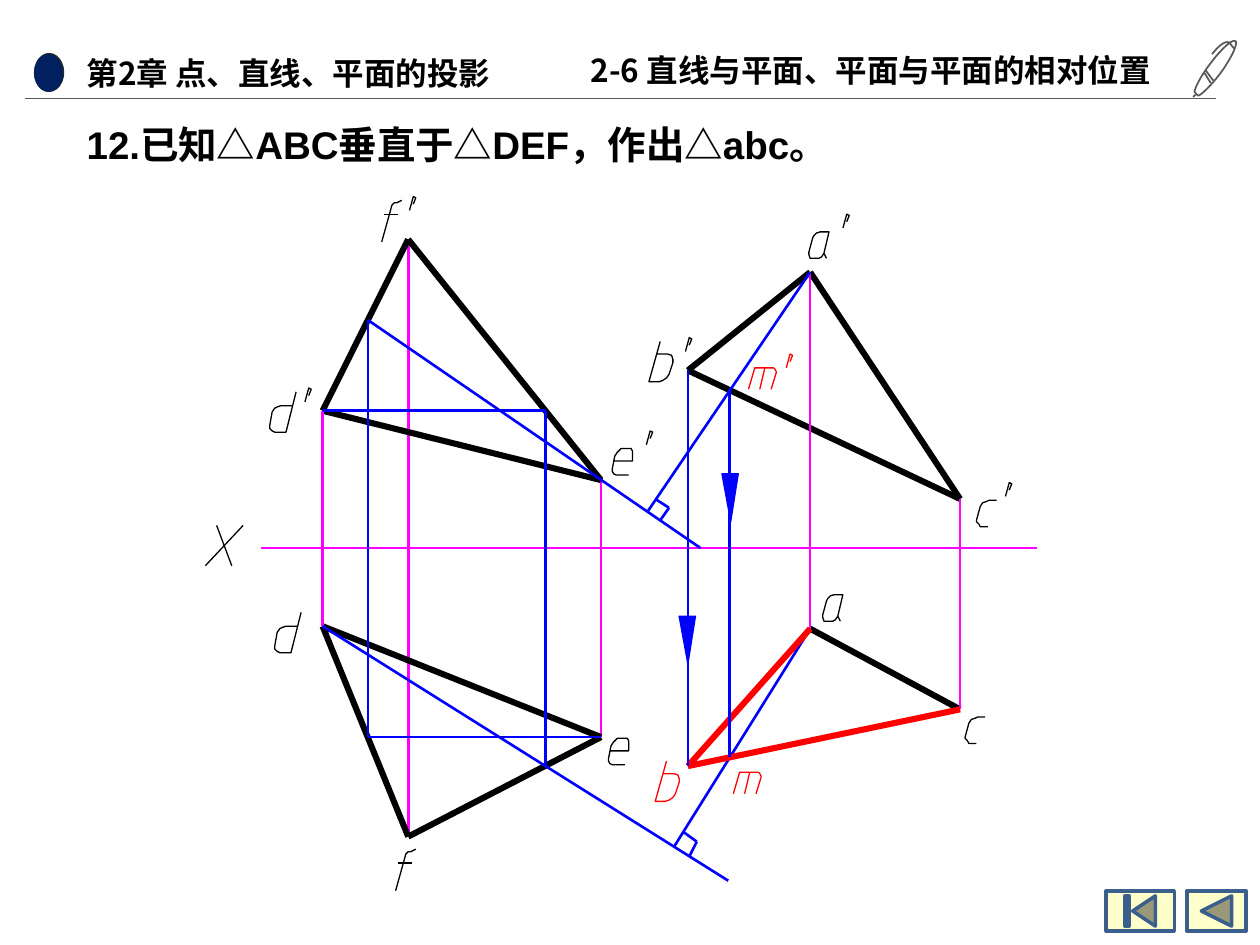
from lxml.etree import SubElement
from pptx import Presentation
from pptx.dml.color import RGBColor
from pptx.enum.shapes import MSO_CONNECTOR, MSO_SHAPE
from pptx.oxml.ns import qn
from pptx.util import Inches, Pt

WIDTH, HEIGHT = 10, 7.5
CJK = "Noto Sans CJK SC"
COLORS = {
    "black": "000000", "gray": "595959", "dark": "262626", "navy": "002060",
    "magenta": "FF00FF", "blue": "0000FF", "red": "FF0000",
    "cream": "FFFFCC", "steel": "3A5F8C",
}
THIN, THICK = 1.5, 3.5

POINTS = {
    "f'": (3.24, 1.9), "d'": (2.56, 3.26), "e'": (4.77, 3.81),
    "f": (3.24, 6.64), "d": (2.56, 4.97), "e": (4.77, 5.85),
    "a'": (6.43, 2.16), "b'": (5.46, 2.94), "c'": (7.62, 3.96),
    "a": (6.43, 4.99), "b": (5.46, 6.08), "c": (7.62, 5.63),
    "m'": (5.79, 3.09), "m": (5.79, 6.01),
    "left": (2.07, 4.35), "right": (8.23, 4.35),
    "level'": (4.33, 3.26), "level": (4.33, 6.08),
    "front'": (2.92, 2.54), "front": (2.92, 5.85),
    "normal'": (5.14, 4.06), "normal": (5.35, 6.72),
    "trace'": (5.56, 4.35), "trace": (5.78, 6.99),
}
EDGES = [
    ("magenta", THIN, ["e' e", "f' f"]),
    ("black", THICK, ["e f", "f' e'", "a c", "c' b'", "a' c'", "b' a'"]),
    ("magenta", THIN, ["c c'", "left right", "a a'"]),
    ("black", THICK, ["f' d'", "d' e'", "f d", "d e"]),
    ("magenta", THIN, ["d' d"]),
    ("blue", THIN, ["e front", "d' level'", "level' level", "trace d",
                    "front front'", "front' trace'", "a' normal'", "a normal"]),
    ("red", THICK, ["b a", "c b"]),
    ("blue", THIN, ["b b'", "m' m"]),
]
RIGHT_ANGLES = [
    [(5.2, 3.96), (5.31, 4.03), (5.24, 4.13)],
    [(5.42, 6.6), (5.53, 6.68), (5.47, 6.8)],
]
ARROWS = [(5.73, 3.76), (5.39, 4.89)]

GLYPHS = {
    "a": [[(14, 21), (12, 17), (16, 0), (9, 0), (6, 1), (4, 3), (3, 5), (0, 16),
           (0, 18), (1, 21), (3, 21), (6, 21), (8, 21), (10, 20), (12, 17)]],
    "b": [[(9, 0), (0, 32), (8, 32), (11, 31), (14, 29), (16, 26), (19, 17),
           (19, 14), (18, 11), (15, 10), (6, 10)]],
    "c": [[(16, 0), (10, 0), (8, 1), (5, 2), (3, 5), (0, 16), (0, 17), (2, 19),
           (3, 21), (9, 21)]],
    "d": [[(21, 0), (13, 32), (4, 32), (2, 31), (1, 30), (0, 29), (0, 27),
           (2, 16), (4, 13), (6, 12), (9, 11), (18, 11)]],
    "e": [[(13, 21), (3, 21), (1, 20), (0, 18), (0, 16), (2, 6), (4, 3), (7, 0),
           (9, 0), (12, 0), (15, 0), (16, 2), (16, 5), (16, 10), (1, 10)]],
    "f": [[(0, 33), (7, 8), (8, 4), (10, 2), (12, 2), (16, 0)],
          [(13, 11), (2, 11)]],
    "m": [[(18, 17), (22, 4), (22, 3), (21, 1), (20, 0), (5, 0), (0, 17)],
          [(9, 17), (13, 0)]],
    "X": [[(9, 0), (21, 32)], [(30, 0), (0, 32)]],
    "'": [[(0, 11), (3, 0), (5, 1), (3, 6)]],
}
LABELS = [
    ("black", "X", 1.63, 4.17), ("black", "a", 6.53, 4.72),
    ("black", "c", 7.66, 5.69), ("black", "d", 2.18, 4.86),
    ("black", "e", 4.83, 5.86), ("black", "f", 3.14, 6.74),
    ("black", "a", 6.42, 1.84), ("black", "'", 6.69, 1.7),
    ("black", "b", 5.15, 2.71), ("black", "'", 5.44, 2.68),
    ("black", "c", 7.75, 3.97), ("black", "'", 7.98, 3.83),
    ("black", "d", 2.14, 3.11), ("black", "'", 2.42, 3.08),
    ("black", "e", 4.86, 3.56), ("black", "'", 5.13, 3.42),
    ("black", "f", 3.03, 1.59), ("black", "'", 3.25, 1.56),
    ("red", "b", 5.2, 6.04), ("red", "m", 5.82, 6.13),
    ("red", "m", 5.94, 2.92), ("red", "'", 6.24, 2.81),
]
PEN_STROKES = [[(9.61, 0.66), (9.56, 0.58)], [(9.57, 0.56), (9.63, 0.64)],
               [(9.49, 0.75), (9.47, 0.77)]]
PEN_CURVES = [
    [(9.81, 0.33), (9.79, 0.3), (9.7, 0.38), (9.61, 0.5), (9.54, 0.59),
     (9.49, 0.68), (9.48, 0.73), (9.51, 0.76), (9.51, 0.76), (9.51, 0.76),
     (9.54, 0.75), (9.61, 0.68), (9.68, 0.59), (9.77, 0.47), (9.82, 0.36),
     (9.81, 0.33)],
    [(9.8, 0.39), (9.8, 0.39), (9.78, 0.37), (9.76, 0.34), (9.76, 0.34),
     (9.72, 0.3), (9.62, 0.43)],
]


def color(name):
    return RGBColor.from_string(COLORS[name])


def style(shape, fill=None, line=None, weight=0):
    shape.shadow.inherit = False
    if fill:
        shape.fill.solid()
        shape.fill.fore_color.rgb = color(fill)
    else:
        shape.fill.background()
    if line:
        shape.line.color.rgb = color(line)
        shape.line.width = Pt(weight)
    else:
        shape.line.fill.background()


def add_text(slide, text, left, top, width, height, size=18, font=CJK):
    box = slide.shapes.add_textbox(*map(Inches, (left, top, width, height)))
    frame = box.text_frame
    frame.word_wrap = True
    run = frame.paragraphs[0].add_run()
    run.text = text
    run.font.size, run.font.bold, run.font.name = Pt(size), True, font
    run.font.color.rgb = color("black")
    SubElement(run.font._element, qn("a:ea")).set("typeface", font)


def add_preset(slide, kind, left, top, width, height, **look):
    shape = slide.shapes.add_shape(kind, *map(Inches, (left, top, width, height)))
    style(shape, **look)


def add_line(slide, start, end, line, weight):
    connector = slide.shapes.add_connector(
        MSO_CONNECTOR.STRAIGHT, *map(Inches, (*start, *end)))
    connector.line.color.rgb = color(line)
    connector.line.width = Pt(weight)
    SubElement(connector._element.spPr, qn("a:effectLst"))


def add_outline(slide, strokes, close=False, **look):
    strokes = [[(Inches(x), Inches(y)) for x, y in stroke] for stroke in strokes]
    builder = slide.shapes.build_freeform(*strokes[0][0])
    for index, stroke in enumerate(strokes):
        if index:
            builder.move_to(*stroke[0])
        builder.add_line_segments(stroke[1:], close=close)
    style(builder.convert_to_shape(), **look)


def flatten(curve, steps=8):
    points = [curve[0]]
    for index in range(0, len(curve) - 1, 3):
        controls = curve[index:index + 4]
        for step in range(1, steps + 1):
            t = step / steps
            weights = ((1 - t) ** 3, 3 * t * (1 - t) ** 2, 3 * t * t * (1 - t), t ** 3)
            points.append(tuple(sum(w * p[axis] for w, p in zip(weights, controls))
                                for axis in (0, 1)))
    return points


def add_glyph(slide, ink, letter, left, top):
    strokes = [[(left + x / 100, top + y / 100) for x, y in stroke]
               for stroke in GLYPHS[letter]]
    add_outline(slide, strokes, line=ink)


def add_header(slide):
    add_preset(slide, MSO_SHAPE.OVAL, 0.27, 0.42, 0.24, 0.31, fill="dark")
    add_preset(slide, MSO_SHAPE.OVAL, 0.27, 0.43, 0.23, 0.3, fill="navy")
    add_text(slide, "第2章 点、直线、平面的投影", 0.59, 0.38, 4.07, 0.38)
    add_text(slide, "2-6 直线与平面、平面与平面的相对位置", 4.59, 0.36, 4.75, 0.4)
    add_line(slide, (0.2, 0.78), (9.65, 0.78), "gray", 0.75)
    add_outline(slide, PEN_STROKES + [flatten(curve) for curve in PEN_CURVES],
                line="gray", weight=1)


def add_drawing(slide):
    for ink, weight, edges in EDGES:
        for edge in edges:
            start, end = edge.split()
            add_line(slide, POINTS[start], POINTS[end], ink, weight)
    for start, corner, end in RIGHT_ANGLES:
        add_line(slide, start, corner, "blue", THIN)
        add_line(slide, corner, end, "blue", THIN)
    for left, top in ARROWS:
        head = [(left, top), (left + 0.13, top), (left + 0.07, top + 0.38)]
        add_outline(slide, [head], close=True, fill="blue", line="blue")
    for label in LABELS:
        add_glyph(slide, *label)


def main():
    presentation = Presentation()
    presentation.slide_width, presentation.slide_height = Inches(WIDTH), Inches(HEIGHT)
    slide = presentation.slides.add_slide(presentation.slide_layouts[6])
    add_header(slide)
    add_text(slide, "12.已知△ABC垂直于△DEF，作出△abc。", 0.59, 0.91, 6.4, 0.47,
             size=22, font="Arial")
    add_drawing(slide)
    buttons = [(MSO_SHAPE.ACTION_BUTTON_BEGINNING, 8.78, 0.54),
               (MSO_SHAPE.ACTION_BUTTON_BACK_OR_PREVIOUS, 9.42, 0.47)]
    for kind, left, width in buttons:
        add_preset(slide, kind, left, 7.07, width, 0.32,
                   fill="cream", line="steel", weight=2)
    presentation.save("out.pptx")


if __name__ == "__main__":
    main()
